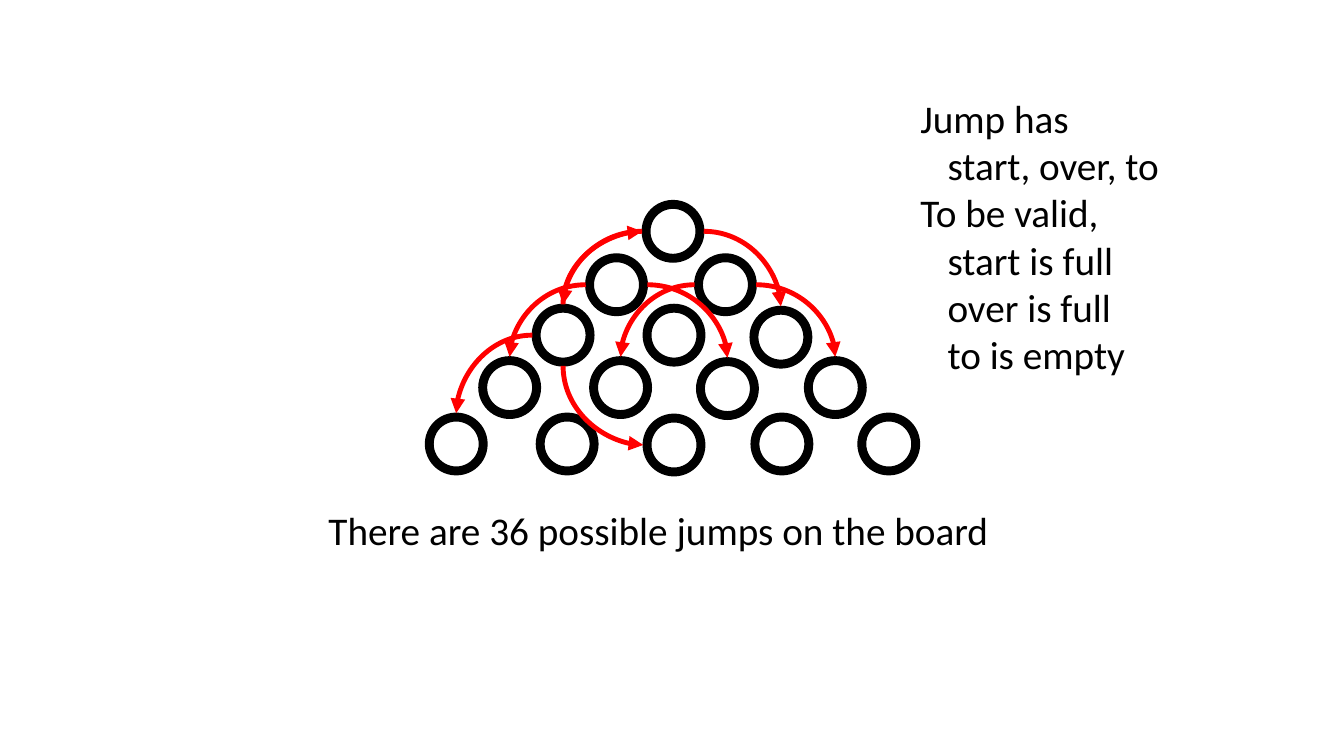
from lxml import etree
from pptx import Presentation
from pptx.dml.color import RGBColor
from pptx.enum.shapes import MSO_CONNECTOR, MSO_SHAPE
from pptx.enum.text import MSO_AUTO_SIZE
from pptx.oxml.ns import qn
from pptx.util import Inches, Pt

DONUT = MSO_SHAPE.DONUT
CURVE = MSO_CONNECTOR.CURVE
GROW = MSO_AUTO_SIZE.SHAPE_TO_FIT_TEXT

# Content
COLORS = {"ink": "000000", "jump": "FF0000"}
FONT = "Calibri"
CAPTION = [(0, "There are 36 possible jumps on the board")]
RULES = [
    (0, "Jump has"),
    (1, "start, over, to"),
    (0, "To be valid, "),
    (1, "start is full"),
    (1, "over is full"),
    (1, "to is empty"),
]

# Board: the top of each row and the left of each hole in it
HOLE_SIZE = 0.61
ROWS = [
    (1.99, [6.37]),
    (2.52, [5.81, 6.89]),
    (3.02, [5.28, 6.38, 7.44]),
    (3.54, [4.75, 5.85, 6.91, 7.98]),
    (4.10, [4.22, 5.32, 6.38, 7.45, 8.51]),
]
DROPS = {(2, 2): 0.02, (3, 2): 0.01, (4, 2): 0.01}

# Jumps: start hole and side, end hole and side
JUMPS = [
    ((2, 0), "top", (0, 0), "left"),
    ((2, 0), "left", (4, 0), "top"),
    ((2, 0), "bottom", (4, 2), "left"),
    ((1, 0), "right", (3, 2), "top"),
    ((1, 0), "left", (3, 0), "top"),
    ((0, 0), "right", (2, 2), "top"),
    ((0, 0), "left", (2, 0), "top"),
    ((1, 1), "right", (3, 3), "top"),
    ((1, 1), "left", (3, 1), "top"),
]
# Side: connection site of a donut, and its place as a share of the hole
SIDES = {
    "top": (0, 0.5, 0),
    "left": (2, 0, 0.5),
    "bottom": (4, 0.5, 1),
    "right": (6, 1, 0.5),
}


def color(name):
    return RGBColor.from_string(COLORS[name])


def add_text(lines, left, top, width, height, size=28, indent=0.27):
    box = page.shapes.add_textbox(*map(Inches, (left, top, width, height)))
    frame = box.text_frame
    frame.word_wrap = True
    frame.auto_size = GROW
    for number, (level, text) in enumerate(lines):
        para = frame.add_paragraph() if number else frame.paragraphs[0]
        if level:
            para._p.get_or_add_pPr().set("marL", str(Inches(indent * level)))
        span = para.add_run()
        span.text = text
        span.font.name = FONT
        span.font.size = Pt(size)
        span.font.color.rgb = color("ink")


def add_hole(left, top):
    hole = board.shapes.add_shape(
        DONUT, *map(Inches, (left, top, HOLE_SIZE, HOLE_SIZE)))
    hole.adjustments[0] = 0.123
    hole.shadow.inherit = False
    hole.fill.solid()
    hole.fill.fore_color.rgb = color("ink")
    hole.line.color.rgb = color("ink")
    hole.line.width = Pt(1)
    return hole


def side_point(hole, side):
    _, across, down = SIDES[side]
    return (int(hole.left + across * hole.width),
            int(hole.top + down * hole.height))


def add_jump(start, start_side, end, end_side):
    ends = [(holes[start], start_side), (holes[end], end_side)]
    arrow = "a:tailEnd"
    # The quarter curve leaves sideways, so a vertical start is drawn backwards
    if start_side in ("top", "bottom"):
        ends.reverse()
        arrow = "a:headEnd"
    points = [side_point(*place) for place in ends]
    jump = page.shapes.add_connector(CURVE, *points[0], *points[1])
    jump.line.color.rgb = color("jump")
    jump.line.width = Pt(3.5)
    properties = jump.element.spPr
    properties.find(qn("a:prstGeom")).set("prst", "curvedConnector2")
    etree.SubElement(properties.find(qn("a:ln")), qn(arrow), type="triangle")
    etree.SubElement(properties, qn("a:effectLst"))
    # Attach both ends to their holes
    links = next(jump.element.iter(qn("p:cNvCxnSpPr")))
    for tag, (hole, side) in zip(("a:stCxn", "a:endCxn"), ends):
        etree.SubElement(links, qn(tag), id=str(hole.shape_id),
                         idx=str(SIDES[side][0]))


deck = Presentation()
deck.slide_width, deck.slide_height = Inches(13.33), Inches(7.5)
page = deck.slides.add_slide(deck.slide_layouts[6])

# Board
board = page.shapes.add_group_shape()
holes = {}
for row, (top, lefts) in enumerate(ROWS):
    for column, left in enumerate(lefts):
        spot = (row, column)
        holes[spot] = add_hole(left, top + DROPS.get(spot, 0))

# Jumps
for jump_ends in JUMPS:
    add_jump(*jump_ends)

# Text
add_text(CAPTION, 3.16, 4.97, 7, 0.57)
add_text(RULES, 9.03, 0.89, 3.3, 2.93)

deck.save("out.pptx")
